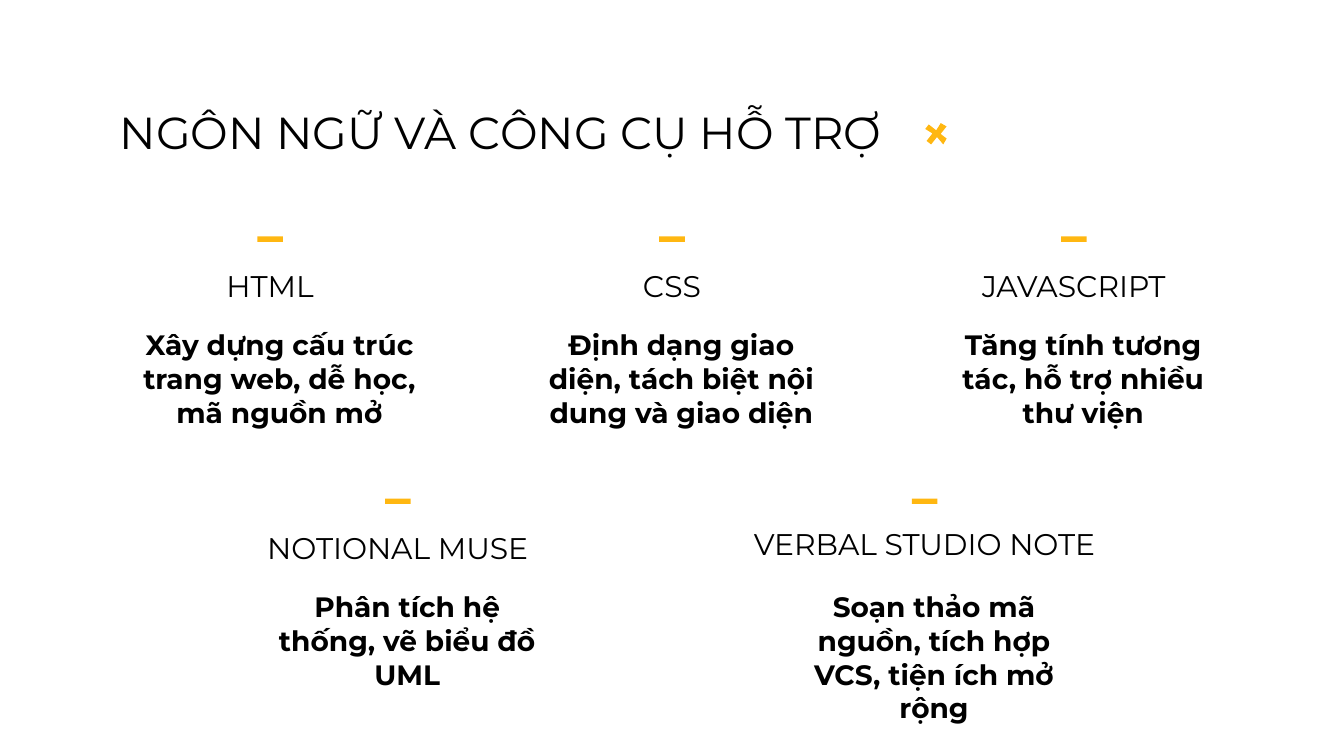
from pptx import Presentation
from pptx.dml.color import RGBColor
from pptx.enum.shapes import MSO_SHAPE as Shape
from pptx.enum.text import MSO_AUTO_SIZE as AutoSize, MSO_ANCHOR as Anchor, PP_ALIGN as Align
from pptx.util import Inches, Pt

COLORS = {"text": "000000", "accent": "FFB711", "background": "FFFFFF"}
FONT = "Montserrat"

# centre x, top y, heading, heading width and height, heading drop, description
TOOLS = [
    (2.01, 1.76, "HTML", 2.43, 0.36, 0.13,
     "Xây dựng cấu trúc trang web, dễ học, mã nguồn mở"),
    (5.0, 1.76, "CSS", 2.43, 0.36, 0.13,
     "Định dạng giao diện, tách biệt nội dung và giao diện"),
    (7.99, 1.76, "JAVASCRIPT", 2.43, 0.36, 0.13,
     "Tăng tính tương tác, hỗ trợ nhiều thư viện"),
    (2.96, 3.71, "NOTIONAL MUSE", 2.43, 0.36, 0.13,
     "Phân tích hệ thống, vẽ biểu đồ UML"),
    (6.88, 3.71, "VERBAL STUDIO NOTE", 2.91, 0.45, 0.10,
     "Soạn thảo mã nguồn, tích hợp VCS, tiện ích mở rộng"),
]
CROSS = [(6.92, 0.92), (6.89, 0.95), (6.94, 0.99), (6.89, 1.04),
         (6.92, 1.07), (6.97, 1.02), (7.01, 1.08), (7.04, 1.04),
         (7.0, 1.0), (7.05, 0.95), (7.01, 0.92), (6.97, 0.97)]


def rgb(name):
    return RGBColor.from_string(COLORS[name])


def write(tf, text, size, bold=False, align=Align.LEFT, space_after=0, indent=0):
    tf.word_wrap = True
    tf.auto_size = AutoSize.NONE
    tf.vertical_anchor = Anchor.TOP
    tf.margin_left = tf.margin_right = Inches(0.1)
    tf.margin_top = tf.margin_bottom = Inches(0.1)
    p = tf.paragraphs[0]
    p.alignment = align
    p.space_before, p.space_after = Pt(0), Pt(space_after)
    if indent:
        pPr = p._p.get_or_add_pPr()
        pPr.set("marL", str(Inches(indent)))
        pPr.set("indent", "0")
    r = p.add_run()
    r.text = text
    r.font.name, r.font.size, r.font.bold = FONT, Pt(size), bold
    r.font.color.rgb = rgb("text")


class SlideBuilder:
    def __init__(self, prs):
        self.s = prs.slides.add_slide(prs.slide_layouts[5])
        fill = self.s.background.fill
        fill.solid()
        fill.fore_color.rgb = rgb("background")

    def title(self, text, x, y, w, h):
        sp = self.s.shapes.title
        sp.left, sp.top, sp.width, sp.height = map(Inches, (x, y, w, h))
        write(sp.text_frame, text, 24)

    def text(self, text, cx, y, w, h, size, **style):
        """Add a centred text box around the vertical axis cx."""
        sp = self.s.shapes.add_textbox(*map(Inches, (cx - w / 2, y, w, h)))
        write(sp.text_frame, text, size, align=Align.CENTER, **style)

    def paint(self, sp):
        sp.shadow.inherit = False
        sp.fill.solid()
        sp.fill.fore_color.rgb = rgb("accent")
        sp.line.fill.background()

    def dash(self, cx, y, w=0.19, h=0.04):
        box = map(Inches, (cx - w / 2, y, w, h))
        self.paint(self.s.shapes.add_shape(Shape.RECTANGLE, *box))

    def outline(self, points, rotation):
        start, *rest = [(Inches(x), Inches(y)) for x, y in points]
        builder = self.s.shapes.build_freeform(*start)
        builder.add_line_segments(rest, close=True)
        sp = builder.convert_to_shape()
        sp.rotation = rotation
        self.paint(sp)

    def tool(self, cx, y, heading, w, h, drop, description):
        self.dash(cx, y)
        self.text(heading, cx, y + drop, w, h, 16, space_after=16)
        self.text(description, cx + 0.01, y + 0.58, 2.44, 0.63, 15,
                  bold=True, indent=0.12)


def main():
    prs = Presentation()
    prs.slide_width = Inches(10)
    prs.slide_height = prs.slide_width * 9 // 16
    slide = SlideBuilder(prs)
    slide.title("NGÔN NGỮ VÀ CÔNG CỤ HỖ TRỢ", 0.79, 0.68, 6.18, 0.63)
    slide.outline(CROSS, rotation=353.3)
    for tool in TOOLS:
        slide.tool(*tool)
    prs.save("out.pptx")


if __name__ == "__main__":
    main()
